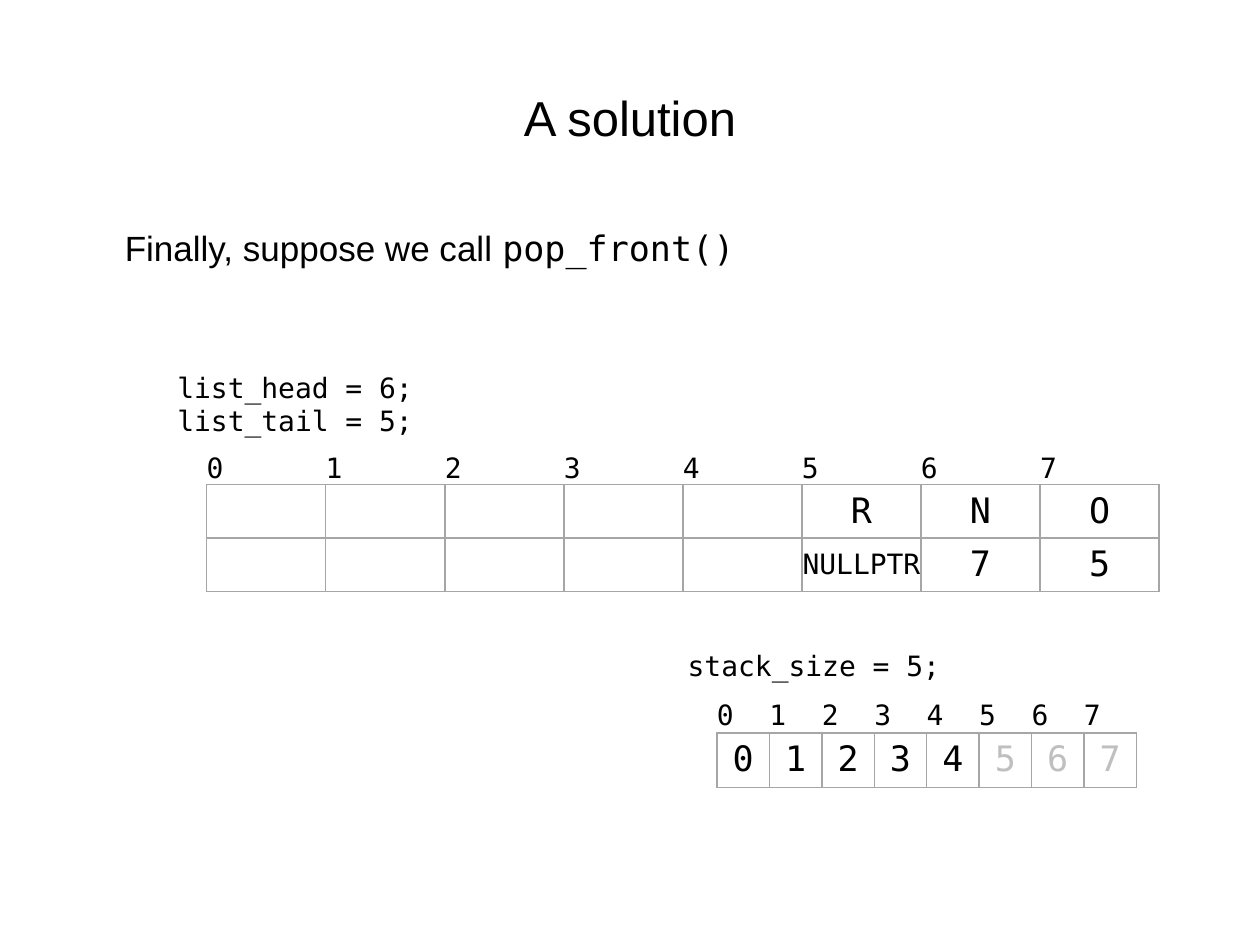
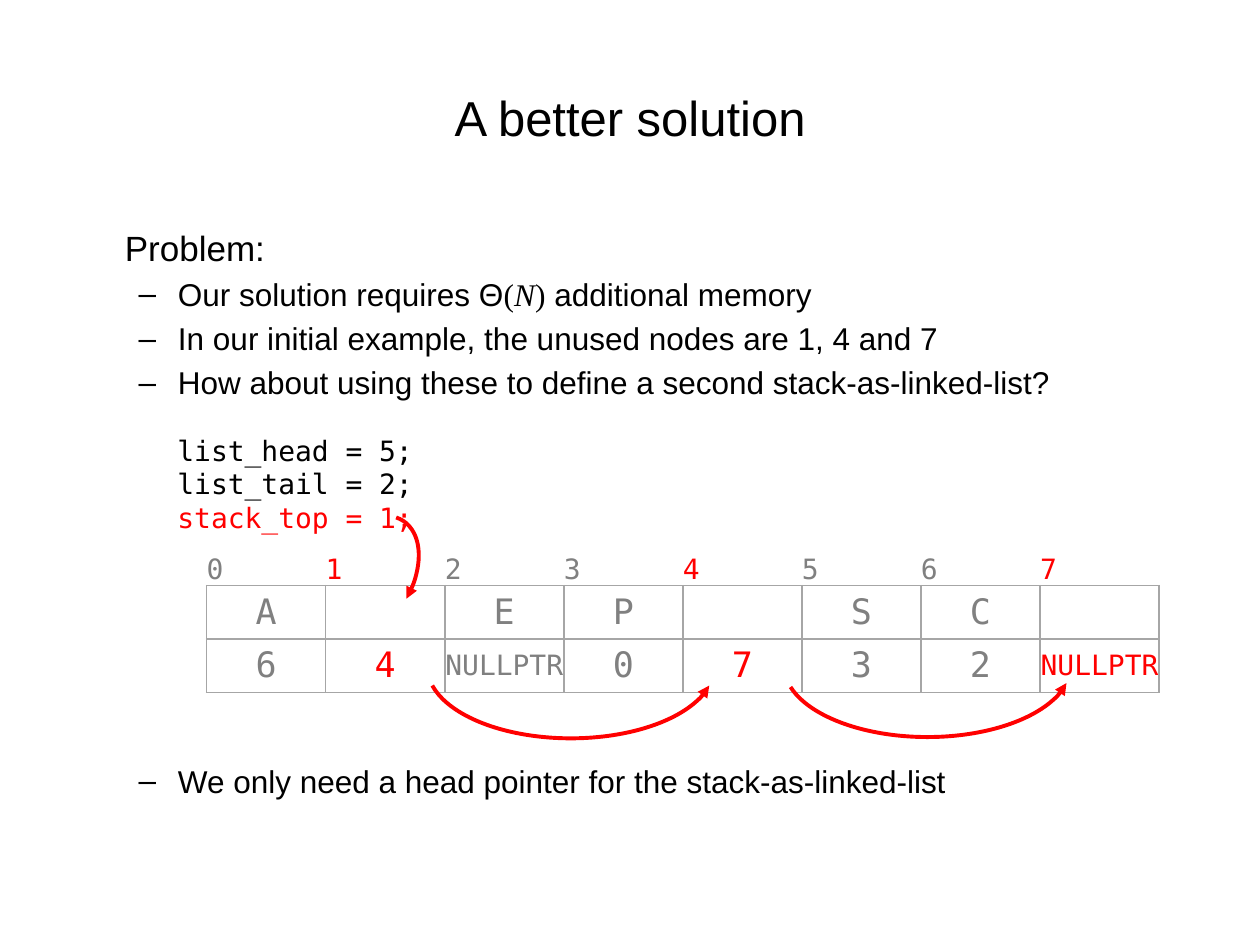
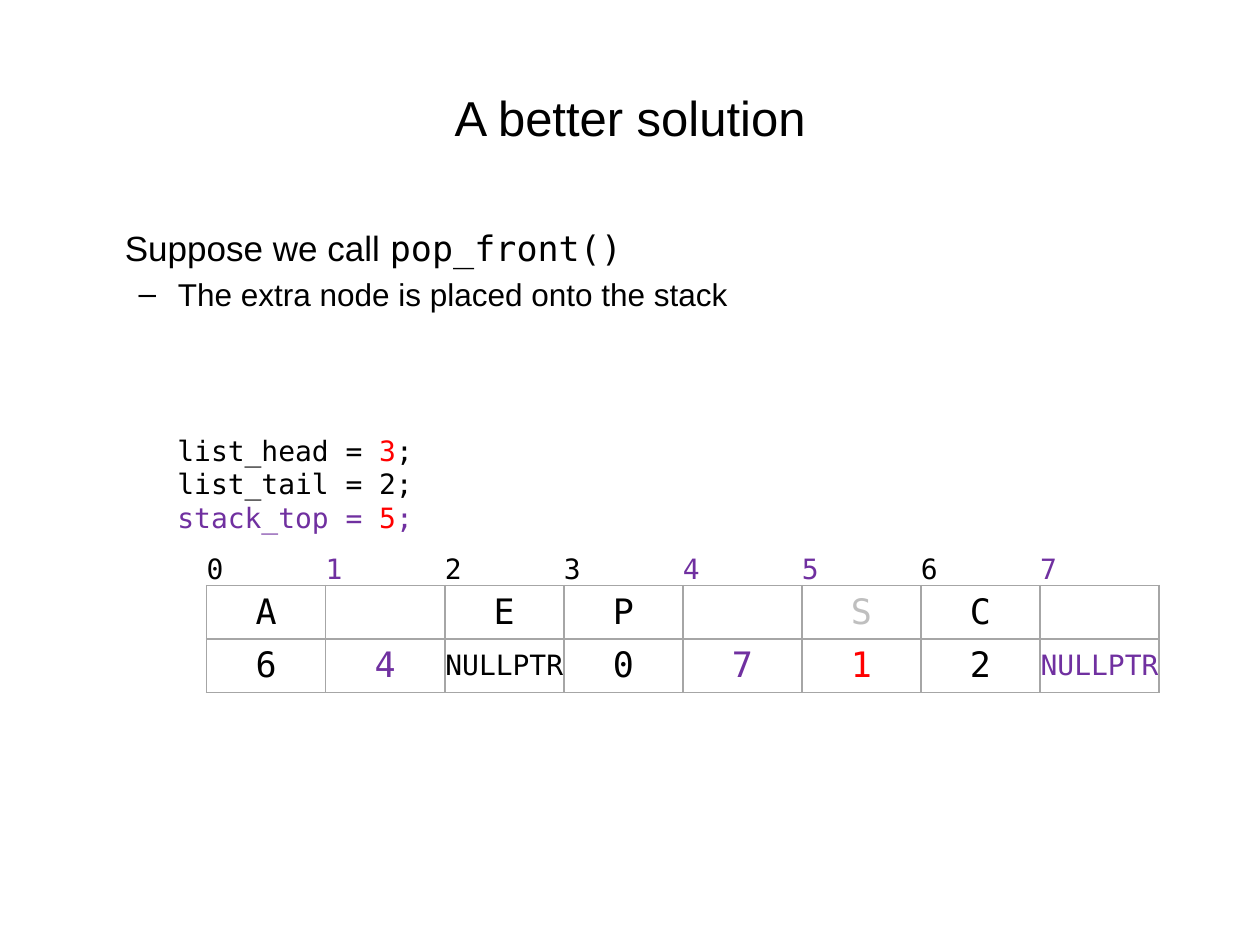
from dataclasses import dataclass
from lxml import etree
from pptx import Presentation
from pptx.dml.color import RGBColor as RGB
from pptx.enum.shapes import MSO_SHAPE as SHAPE
from pptx.enum.text import MSO_ANCHOR as ANCHOR, MSO_AUTO_SIZE as FIT, PP_ALIGN as ALIGN
from pptx.oxml.ns import qn
from pptx.util import Inches, Pt


@dataclass(frozen=True)
class Theme:
    sans: str = "Arial"
    mono: str = "DejaVu Sans Mono"
    serif: str = "Times New Roman"
    black: str = "000000"
    gray: str = "808080"
    pale: str = "BFBFBF"
    grid: str = "A6A6A6"
    red: str = "FF0000"
    purple: str = "7030A0"
    title: int = 28
    lead: int = 20
    bullet: int = 18
    code: int = 16
    value: int = 20
    arrow: float = 2.25


T = Theme()
NO_INSETS = {f"margin_{side}": 0 for side in ("left", "right", "top", "bottom")}
TITLE_BOX = (0.5, 0.3, 9, 1.25)
BODY_BOX = (0.5, 1.75, 9, 4.95)
NODE_LEFT, NODE_WIDTH = 1.64, 7.56
INDEX_HEIGHT, VALUE_HEIGHT = 0.25, 0.42


def apply(target, values):
    for name, value in values.items():
        setattr(target, name, value)


def place(shape, box):
    apply(shape, dict(zip(("left", "top", "width", "height"), map(Inches, box))))


def add_run(p, text, size, color=T.black, font=T.mono, italic=False):
    r = p.add_run()
    r.text = text
    apply(r.font, {"size": Pt(size), "name": font, "italic": italic})
    r.font.color.rgb = RGB.from_string(color)


def next_paragraph(tf, index):
    return tf.add_paragraph() if index else tf.paragraphs[0]


def add_slide(prs, title, lead, bullets=()):
    s = prs.slides.add_slide(prs.slide_layouts[1])
    place(s.shapes.title, TITLE_BOX)
    p = s.shapes.title.text_frame.paragraphs[0]
    p.alignment = ALIGN.CENTER
    add_run(p, title, T.title, font=T.sans)
    body = s.placeholders[1]
    place(body, BODY_BOX)
    tf = body.text_frame
    tf.auto_size = FIT.NONE
    p = tf.paragraphs[0]
    pPr = p._p.get_or_add_pPr()
    pPr.set("marL", str(Inches(0.39)))
    pPr.set("indent", "0")
    etree.SubElement(pPr, qn("a:buNone"))
    for text, font in lead:
        add_run(p, text, T.lead, font=font)
    for runs in bullets:
        p = tf.add_paragraph()
        p.level = 1
        for text, font, italic in runs:
            add_run(p, text, T.bullet, font=font, italic=italic)
    return s


def plain(text):
    return [(text, T.sans, False)]


def add_code(slide, box, lines):
    tb = slide.shapes.add_textbox(*map(Inches, box))
    tb.text_frame.word_wrap = True
    for i, runs in enumerate(lines):
        p = next_paragraph(tb.text_frame, i)
        for text, color in runs:
            add_run(p, text, T.code, color)


def set_borders(cell, visible):
    tcPr = cell._tc.get_or_add_tcPr()
    for side in "LRTB":
        ln = etree.SubElement(tcPr, qn(f"a:ln{side}"), w=str(Pt(1)))
        if side in visible:
            fill = etree.SubElement(ln, qn("a:solidFill"))
            etree.SubElement(fill, qn("a:srgbClr"), val=T.grid)
        else:
            etree.SubElement(ln, qn("a:noFill"))


def tint(values, base=T.black, accents=None):
    return [(v, (accents or {}).get(i, base)) for i, v in enumerate(values)]


def add_memory(slide, left, top, width, rows):
    heights = [INDEX_HEIGHT] + [VALUE_HEIGHT] * (len(rows) - 1)
    columns = len(rows[0])
    box = map(Inches, (left, top, width, sum(heights)))
    table = slide.shapes.add_table(len(rows), columns, *box).table
    apply(table, {"first_row": False, "horz_banding": False})
    for column in table.columns:
        column.width = Inches(width / columns)
    for r, (height, row) in enumerate(zip(heights, rows)):
        table.rows[r].height = Inches(height)
        for c, (text, color) in enumerate(row):
            cell = table.cell(r, c)
            set_borders(cell, "LRTB" if r else "B")
            cell.fill.background()
            small = r == 0 or len(text) > 1
            if small:
                apply(cell, NO_INSETS)
            if r and small:
                cell.vertical_anchor = ANCHOR.MIDDLE
            p = cell.text_frame.paragraphs[0]
            p.alignment = ALIGN.CENTER if r else ALIGN.LEFT
            if text:
                add_run(p, text, T.code if small else T.value, color)


def add_arc(slide, box, angles, end, rotation=0):
    arc = slide.shapes.add_shape(SHAPE.ARC, *map(Inches, box))
    arc.shadow.inherit = False
    arc.fill.background()
    arc.rotation = rotation
    for i, angle in enumerate(angles):
        arc.adjustments[i] = angle
    arc.line.color.rgb = RGB.from_string(T.red)
    arc.line.width = Pt(T.arrow)
    spPr = arc._element.spPr
    for flip in ("flipH", "flipV"):
        spPr.find(qn("a:xfrm")).set(flip, "1")
    etree.SubElement(spPr.find(qn("a:ln")), qn(f"a:{end}"), type="triangle")


def final_pop(prs):
    s = add_slide(prs, "A solution", [("Finally, suppose we call ", T.sans), ("pop_front()", T.mono)])
    add_memory(s, NODE_LEFT, 3.59, NODE_WIDTH, [
        tint("01234567"),
        tint([""] * 5 + ["R", "N", "O"]),
        tint([""] * 5 + ["NULLPTR", "7", "5"]),
    ])
    add_code(s, (1.31, 2.89, 3.47, 0.64),
             [[("list_head = 6;", T.black)], [("list_tail = 5;", T.black)]])
    add_memory(s, 5.69, 5.55, 3.33, [
        tint("01234567"),
        tint("01234567", accents=dict.fromkeys((5, 6, 7), T.pale)),
    ])
    add_code(s, (5.36, 5.1, 2.39, 0.37), [[("stack_size = 5;", T.black)]])


LETTERS = ["A", "", "E", "P", "", "S", "C", ""]
CODE_BOX = (1.31, 3.39, 2.39, 0.91)
NODE_TOP = 4.39


def linked_stack(prs):
    s = add_slide(prs, "A better solution", [("Problem:", T.sans)], [
        [("Our solution requires Θ", T.sans, False), ("(", T.serif, False),
         ("N", T.serif, True), (")", T.serif, False), (" additional memory", T.sans, False)],
        plain("In our initial example, the unused nodes are 1, 4 and 7"),
        plain("How about using these to define a second stack-as-linked-list?"),
        plain("We only need a head pointer for the stack-as-linked-list"),
    ])
    s.placeholders[1].text_frame.paragraphs[-1].space_before = Pt(206)
    unused = dict.fromkeys((1, 4, 7), T.red)
    links = ["6", "4", "NULLPTR", "0", "7", "3", "2", "NULLPTR"]
    add_memory(s, NODE_LEFT, NODE_TOP, NODE_WIDTH,
               [tint(row, T.gray, unused) for row in ("01234567", LETTERS, links)])
    add_code(s, CODE_BOX, [[("list_head = 5;", T.black)], [("list_tail = 2;", T.black)],
                           [("stack_top = 1;", T.red)]])
    add_arc(s, (3.39, 4.72, 2.28, 1.14), (112.7, 211.31), "headEnd")
    add_arc(s, (6.22, 4.71, 2.28, 1.14), (112.39, 210.57), "headEnd")
    add_arc(s, (2.52, 4.04, 0.73, 1.14), (158.14, 209.42), "tailEnd", 213.7)


def push_freed_node(prs):
    s = add_slide(prs, "A better solution", [("Suppose we call ", T.sans), ("pop_front()", T.mono)],
                  [plain("The extra node is placed onto the stack")])
    unused = dict.fromkeys((1, 4, 5, 7), T.purple)
    links = ["6", "4", "NULLPTR", "0", "7", "1", "2", "NULLPTR"]
    add_memory(s, NODE_LEFT, NODE_TOP, NODE_WIDTH, [
        tint("01234567", accents=unused),
        tint(LETTERS, accents={5: T.pale}),
        tint(links, accents={**unused, 5: T.red}),
    ])
    add_code(s, CODE_BOX, [
        [("list_head = ", T.black), ("3", T.red), (";", T.black)],
        [("list_tail = 2;", T.black)],
        [("stack_top = ", T.purple), ("5", T.red), (";", T.purple)],
    ])


def main():
    prs = Presentation()
    apply(prs, {"slide_width": Inches(10), "slide_height": Inches(7.5)})
    for build in (final_pop, linked_stack, push_freed_node):
        build(prs)
    prs.save("out.pptx")


if __name__ == "__main__":
    main()
